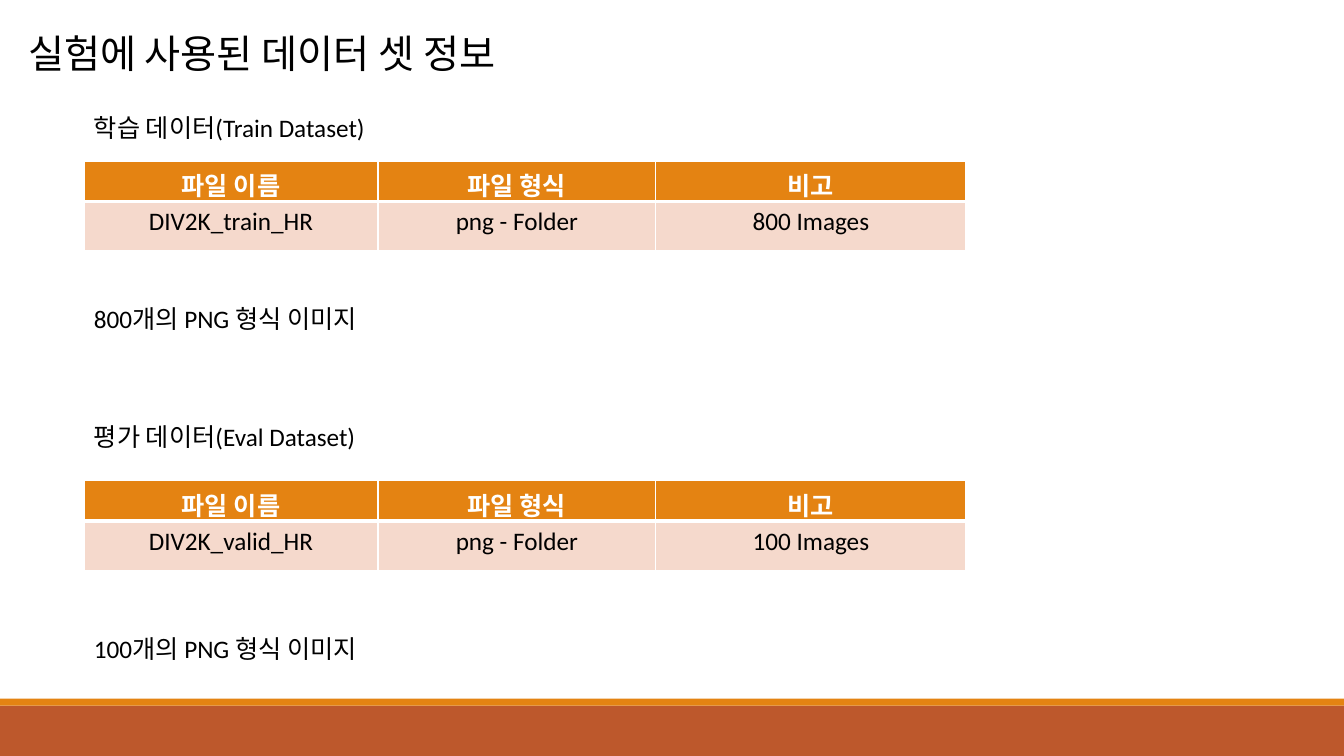
from dataclasses import dataclass

from lxml import etree
from pptx import Presentation
from pptx import util as u
from pptx.dml.color import RGBColor
from pptx.enum import shapes, text
from pptx.oxml.ns import qn


@dataclass(frozen=True)
class Theme:
    font: str = "Calibri"
    title_size: float = 28
    body_size: float = 18
    ink: str = "000000"
    white: str = "FFFFFF"
    orange: str = "E48312"
    rust: str = "BD582C"
    peach: str = "F5D9CC"


THEME = Theme()
WIDTH, HEIGHT = 960, 540
HEADINGS = ["파일 이름", "파일 형식", "비고"]
COLUMN_WIDTHS = [210, 198.5, 221.5]
ROW_HEIGHTS = [24.5, 35.3]
LABEL_HEIGHT = 29


def points(*values):
    return [u.Pt(value) for value in values]


def add_run(paragraph, words, size, color, bold=False):
    run = paragraph.add_run()
    run.text = words
    run.font.name = THEME.font
    run.font.size = u.Pt(size)
    run.font.bold = bold
    run.font.color.rgb = RGBColor.from_string(color)


def add_label(slide, box, words, size=THEME.body_size):
    frame = slide.shapes.add_textbox(*points(*box)).text_frame
    frame.word_wrap = True
    frame.auto_size = text.MSO_AUTO_SIZE.SHAPE_TO_FIT_TEXT
    add_run(frame.paragraphs[0], words, size, THEME.ink)


def add_footer(slide, box):
    """Draw a thin orange strip above a rust band that fills the rest of the box."""
    left, top, width, height = box
    strip = 5
    bands = [(top + strip, height - strip, THEME.rust), (top, strip, THEME.orange)]
    for band_top, band_height, color in bands:
        band = slide.shapes.add_shape(
            shapes.MSO_SHAPE.RECTANGLE, *points(left, band_top, width, band_height))
        band.shadow.inherit = False
        band.fill.solid()
        band.fill.fore_color.rgb = RGBColor.from_string(color)
        band.line.fill.background()


def set_borders(cell, **widths):
    """Give the cell white borders; widths are keyed by side: L, R, T, B."""
    properties = cell._tc.get_or_add_tcPr()
    for index, (side, width) in enumerate(widths.items()):
        line = etree.Element(qn(f"a:ln{side}"), w=str(u.Pt(width)))
        fill = etree.SubElement(line, qn("a:solidFill"))
        etree.SubElement(fill, qn("a:srgbClr"), val=THEME.white)
        properties.insert(index, line)


def add_file_table(slide, left, top, values):
    rows = [HEADINGS, values]
    table = slide.shapes.add_table(
        len(rows), len(HEADINGS),
        *points(left, top, sum(COLUMN_WIDTHS), sum(ROW_HEIGHTS))).table
    table.first_row = table.horz_banding = False
    for column, width in zip(table.columns, COLUMN_WIDTHS):
        column.width = u.Pt(width)
    for row_index, row_values in enumerate(rows):
        table.rows[row_index].height = u.Pt(ROW_HEIGHTS[row_index])
        header = row_index == 0
        for column_index, words in enumerate(row_values):
            cell = table.cell(row_index, column_index)
            cell.fill.solid()
            cell.fill.fore_color.rgb = RGBColor.from_string(
                THEME.orange if header else THEME.peach)
            set_borders(cell, L=1, R=1, T=1 if header else 3, B=3 if header else 1)
            paragraph = cell.text_frame.paragraphs[0]
            paragraph.alignment = text.PP_ALIGN.CENTER
            add_run(paragraph, words, THEME.body_size,
                    THEME.white if header else THEME.ink, header)


def add_dataset(slide, box, heading, values, note, table_offset):
    """Place a heading at the top of the box, a table below it and a note at the bottom."""
    left, top, width, height = box
    add_label(slide, (left, top, 216, LABEL_HEIGHT), heading)
    add_file_table(slide, left, top + table_offset, values)
    add_label(slide, (left, top + height - LABEL_HEIGHT, width, LABEL_HEIGHT), note)


def build_dataset_slide(presentation):
    slide = presentation.slides.add_slide(presentation.slide_layouts[6])
    add_footer(slide, (0, 499, WIDTH, HEIGHT - 499))
    add_label(slide, (13, 17.3, 602, 41), "실험에 사용된 데이터 셋 정보", THEME.title_size)
    add_dataset(slide, (60, 77, 869, 165), "학습 데이터(Train Dataset)",
                ["DIV2K_train_HR", "png - Folder", "800 Images"],
                "800개의 PNG 형식 이미지", 38.2)
    add_dataset(slide, (60, 297.4, 869, 180.2), "평가 데이터(Eval Dataset)",
                ["DIV2K_valid_HR", "png - Folder", "100 Images"],
                "100개의 PNG 형식 이미지", 46)


def main():
    presentation = Presentation()
    presentation.slide_width, presentation.slide_height = points(WIDTH, HEIGHT)
    build_dataset_slide(presentation)
    presentation.save("out.pptx")


if __name__ == "__main__":
    main()
